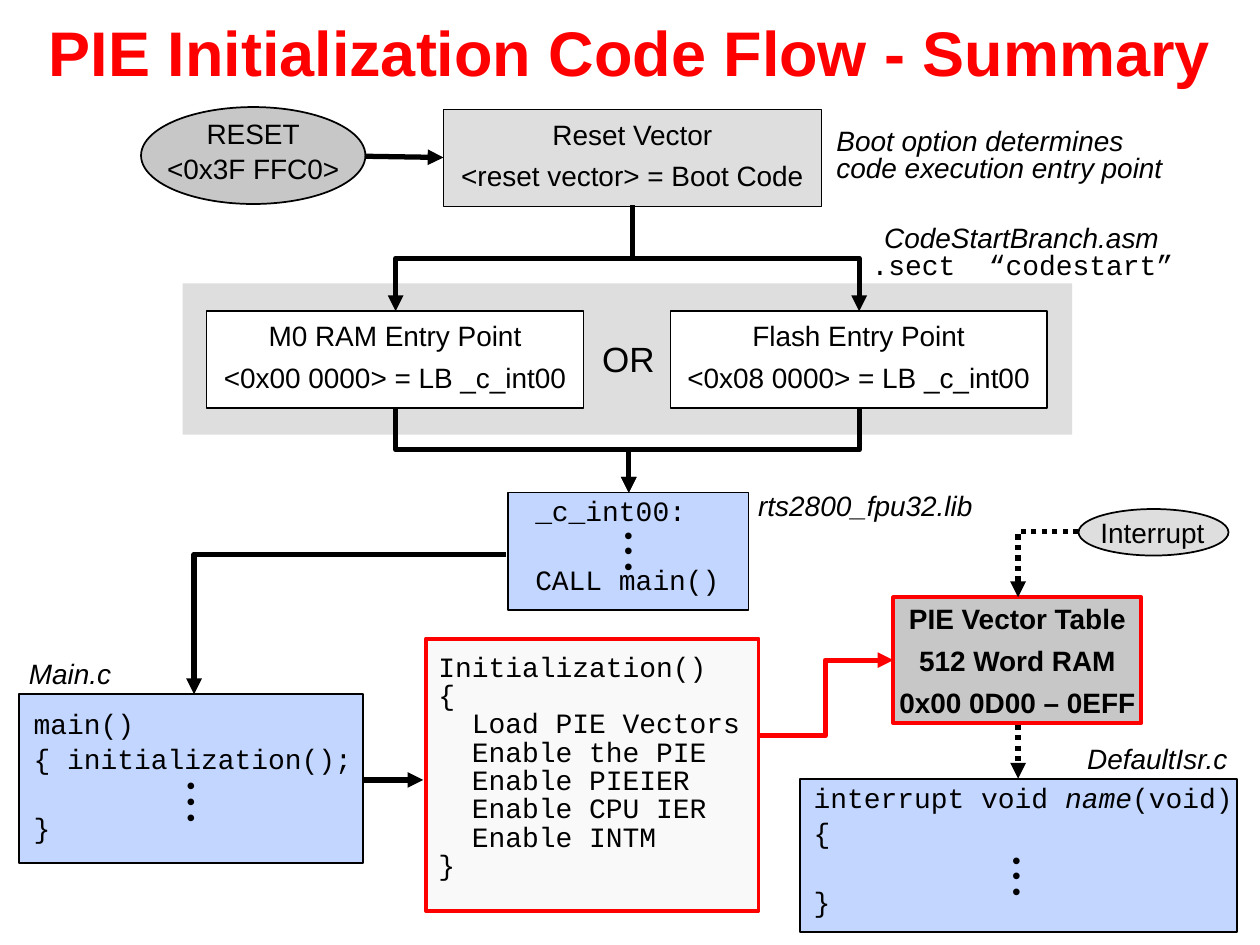
import pptx
import pptx.dml.color
import pptx.enum.dml
import pptx.enum.shapes
import pptx.enum.text
import pptx.oxml.ns
import pptx.oxml.xmlchemy
import pptx.util
import lxml.etree

Pt = pptx.util.Pt
SHAPE = pptx.enum.shapes.MSO_SHAPE
CONN = pptx.enum.shapes.MSO_CONNECTOR
ALIGN = pptx.enum.text.PP_ALIGN
ANCHOR = pptx.enum.text.MSO_ANCHOR
qn = pptx.oxml.ns.qn

BLACK, RED, WHITE = "000000", "FF0000", "FFFFFF"
PALE, GREY, BLUE, CODE_BG = "DEDEDE", "C7C7C7", "C2D6FF", "F9F9F9"
SANS, MONO = "Arial", "Courier New"
GAP = 28  # space before a line that follows a column of dots
CODE_INDENT = 19.2  # two monospaced characters


def rgb(value):
    """Return the colour for a hex string."""
    return pptx.dml.color.RGBColor.from_string(value)


def style(p, font=SANS, size=16, color=BLACK, bold=False, italic=False):
    """Format the font of a paragraph."""
    f = p.font
    f.name, f.size, f.bold, f.italic = font, Pt(size), bold, italic
    f.color.rgb = rgb(color)


def write(sp, lines, spacing=0.8, align=ALIGN.LEFT, anchor=ANCHOR.TOP,
          wrap=False, insets=(7.2, 3.6, 7.2, 3.6), **font):
    """Fill a shape with one paragraph per line."""
    tf = sp.text_frame
    tf.word_wrap, tf.vertical_anchor = wrap, anchor
    (tf.margin_left, tf.margin_top,
     tf.margin_right, tf.margin_bottom) = map(Pt, insets)
    for i, line in enumerate(lines):
        p = tf.paragraphs[0] if i == 0 else tf.add_paragraph()
        p.add_run().text = line
        p.alignment, p.line_spacing, p.space_before = align, spacing, Pt(8.5)
        style(p, **font)
    return tf


def text(shapes, x, y, w, h, lines, **fmt):
    """Add a text box."""
    return write(shapes.add_textbox(Pt(x), Pt(y), Pt(w), Pt(h)), lines, **fmt)


def box(shapes, x, y, w, h, fill, line=BLACK, width=1.0, kind=SHAPE.RECTANGLE):
    """Add a filled shape, without an outline if line is None."""
    sp = shapes.add_shape(kind, Pt(x), Pt(y), Pt(w), Pt(h))
    sp.shadow.inherit = False
    sp.fill.solid()
    sp.fill.fore_color.rgb = rgb(fill)
    if line is None:
        sp.line.fill.background()
    else:
        sp.line.color.rgb = rgb(line)
        sp.line.width = Pt(width)
    return sp


def dots(shapes, x, y):
    """Add a group of three stacked dots."""
    group = shapes.add_group_shape()
    for i in range(3):
        text(group.shapes, x, y + 9 * i, 23, 21.6, ["\u2022"],
             font=MONO, size=14)


def arrow(shapes, x1, y1, x2, y2, kind=CONN.STRAIGHT, color=BLACK, dotted=False):
    """Add a connector with an arrowhead at its end."""
    c = shapes.add_connector(kind, Pt(x1), Pt(y1), Pt(x2), Pt(y2))
    c.line.color.rgb = rgb(color)
    c.line.width = Pt(3)
    if dotted:
        c.line.dash_style = pptx.enum.dml.MSO_LINE.ROUND_DOT
    sp_pr = c._element.spPr
    lxml.etree.SubElement(sp_pr.find(qn("a:ln")), qn("a:tailEnd"), type="triangle")
    lxml.etree.SubElement(sp_pr, qn("a:effectLst"))
    return c


def drop_arrow(shapes, x1, y1, x2, y2):
    """Add an elbow that runs down, across and down again."""
    cx, cy = (x1 + x2) / 2, (y1 + y2) / 2
    half_w, half_h = (y2 - y1) / 2, abs(x2 - x1) / 2
    turn = 90
    if x2 > x1:
        half_w, turn = -half_w, 270
    c = arrow(shapes, cx - half_w, cy - half_h, cx + half_w, cy + half_h,
              CONN.ELBOW)
    c._element.spPr.find(qn("a:xfrm")).set("rot", str(turn * 60000))


def corner_arrow(shapes, x1, y1, x2, y2, dotted=False):
    """Add an elbow that runs across and then down."""
    c = arrow(shapes, x1, y1, x2, y2, CONN.ELBOW, dotted=dotted)
    c._element.spPr.find(qn("a:prstGeom")).set("prst", "bentConnector2")


def add_boot(shapes):
    """Draw reset, the reset vector and the two entry points."""
    centred = dict(align=ALIGN.CENTER, anchor=ANCHOR.MIDDLE)
    box(shapes, 104.4, 162, 508.3, 86.4, PALE, None)
    reset = box(shapes, 80.6, 61.2, 128.2, 55.4, GREY, kind=SHAPE.OVAL)
    write(reset, ["RESET", "<0x3F FFC0>"], spacing=0.6, **centred)
    steps = [
        (253.4, 62.6, 216, PALE, "Reset Vector", "<reset vector> = Boot Code"),
        (118.1, 177.8, 215.3, WHITE, "M0 RAM Entry Point",
         "<0x00 0000> = LB _c_int00"),
        (383, 177.8, 215.3, WHITE, "Flash Entry Point",
         "<0x08 0000> = LB _c_int00"),
    ]
    for x, y, w, fill, *lines in steps:
        write(box(shapes, x, y, w, 55.4, fill, width=0.75), lines, wrap=True,
              insets=(7.2,) * 4, **centred)
    text(shapes, 337, 193.7, 44.6, 26.6, ["OR"], size=20, anchor=ANCHOR.MIDDLE)
    arrow(shapes, 208.8, 89.3, 253.4, 90)
    for x in (226.1, 491):
        drop_arrow(shapes, 361.4, 117.4, x, 177.8)
        drop_arrow(shapes, x, 232.6, 359.3, 281.5)


def add_code(shapes):
    """Draw the start-up, main, initialization and interrupt code."""
    code = dict(font=MONO, spacing=0.6)
    box(shapes, 290.2, 281.5, 137.5, 67, BLUE)
    tf = text(shapes, 298.8, 285.1, 120.2, 61.2, ["_c_int00:", "CALL main()"],
              **code)
    tf.paragraphs[-1].space_before = Pt(GAP)

    box(shapes, 10.8, 396.7, 196.6, 96.5, BLUE)
    tf = text(shapes, 12.2, 406.8, 197.3, 82.1,
              ["main()", "{ initialization();", "}"], **code)
    tf.paragraphs[-1].space_before = Pt(GAP)

    box(shapes, 243.4, 365, 190.1, 155.5, CODE_BG, RED, 2.25)
    tf = text(shapes, 243.4, 377.3, 189.4, 140.4,
              ["Initialization()", "{", "Load PIE Vectors", "Enable the PIE",
               "Enable PIEIER", "Enable CPU IER", "Enable INTM", "}"],
              font=MONO, spacing=0.4)
    for p in tf.paragraphs[2:-1]:
        p._p.get_or_add_pPr().set("marL", str(Pt(CODE_INDENT)))

    box(shapes, 457.2, 445, 249.8, 87.8, BLUE)
    tf = text(shapes, 457.9, 449.3, 256.3, 82.8, ["interrupt void ", "{", "}"],
              **code)
    tf.paragraphs[-1].space_before = Pt(GAP)
    p = tf.paragraphs[0]
    r = p.add_run()
    r.text, r.font.italic = "name", True
    p.add_run().text = "(void)"

    for x, y in ((347.8, 296.6), (97.9, 439.9), (569.5, 482.4)):
        dots(shapes, x, y)


def add_interrupt(shapes):
    """Draw the interrupt source and the vector table."""
    table = box(shapes, 510.5, 341.3, 141.8, 72, GREY, RED, 2.25)
    write(table, ["PIE Vector Table", "512 Word RAM", "0x00 0D00 \u2013 0EFF"],
          align=ALIGN.CENTER, anchor=ANCHOR.MIDDLE, bold=True,
          insets=(7.2, 7.2, 7.2, 3.6))
    source = box(shapes, 616.3, 290.9, 85.7, 26.6, PALE, kind=SHAPE.OVAL)
    write(source, ["Interrupt"], anchor=ANCHOR.MIDDLE, wrap=True,
          insets=(0, 3.6, 0, 0))
    corner_arrow(shapes, 616.3, 303.8, 581.8, 341.3, dotted=True)
    arrow(shapes, 581.8, 414, 581.8, 445, dotted=True)


def add_labels(shapes):
    """Add the file names and notes beside the boxes."""
    for x, y, w, name in [(9.4, 375.1, 64.1, "Main.c"),
                          (498.2, 126, 173.5, "CodeStartBranch.asm"),
                          (426.2, 279.4, 138.2, "rts2800_fpu32.lib"),
                          (614.2, 424.1, 95.8, "DefaultIsr.c")]:
        text(shapes, x, y, w, 23, [name], italic=True)
    text(shapes, 470.9, 70.6, 207.4, 38.2,
         ["Boot option determines code execution entry point"],
         italic=True, wrap=True, anchor=ANCHOR.MIDDLE)
    text(shapes, 491, 144.7, 189.4, 20.9, [".sect  \u201ccodestart\u201d"],
         font=MONO, spacing=0.6)


def main():
    """Build the slide and save it."""
    prs = pptx.Presentation()
    prs.slide_width, prs.slide_height = Pt(720), Pt(540)
    s = prs.slides.add_slide(prs.slide_layouts[5])
    title = s.shapes.title
    title.left, title.top, title.width, title.height = map(Pt, (0, 0, 720, 58.3))
    title.text_frame.text = "PIE Initialization Code Flow - Summary"
    p = title.text_frame.paragraphs[0]
    p.alignment = ALIGN.CENTER
    style(p, size=36, color=RED, bold=True)
    add_boot(s.shapes)
    add_code(s.shapes)
    add_interrupt(s.shapes)
    add_labels(s.shapes)
    corner_arrow(s.shapes, 289.4, 316.8, 110.9, 396.7)
    arrow(s.shapes, 208.1, 445.7, 241.9, 445.7)
    arrow(s.shapes, 432.7, 420.5, 510.5, 377.3, CONN.ELBOW, RED)
    prs.save("out.pptx")


main()
